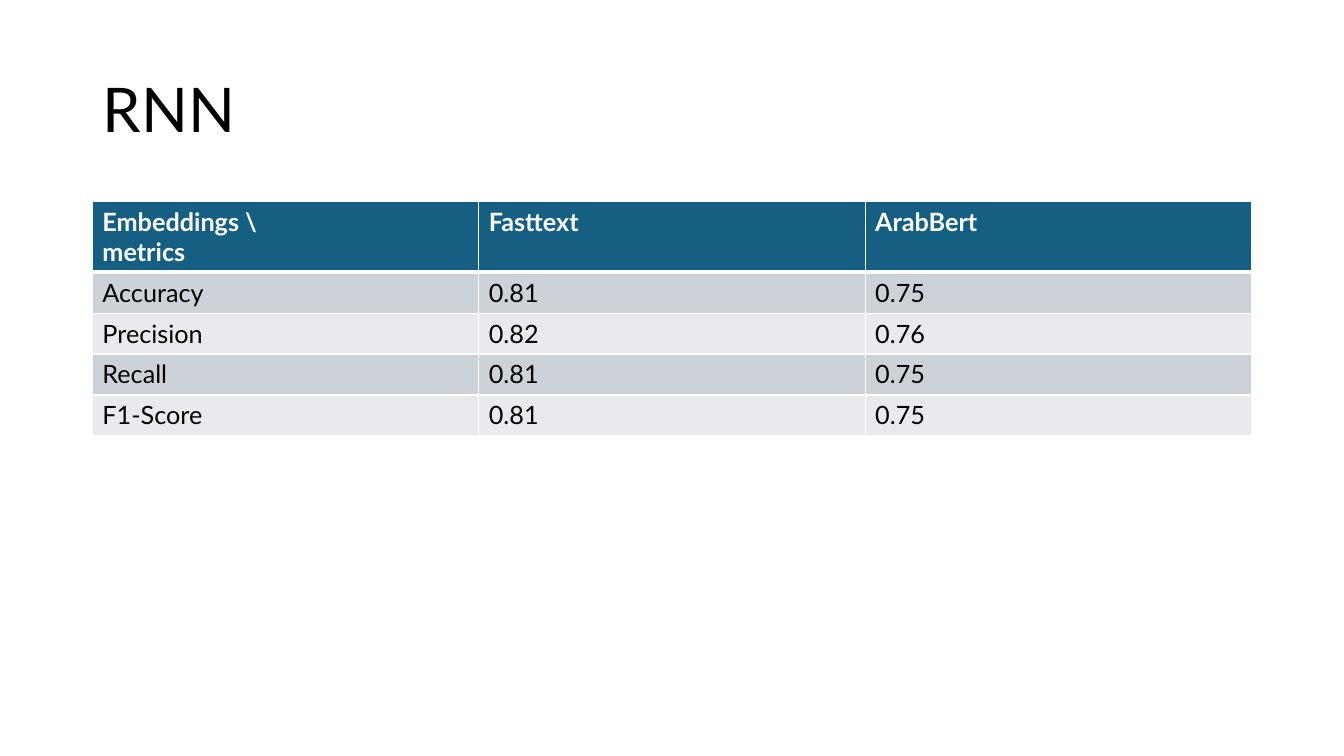
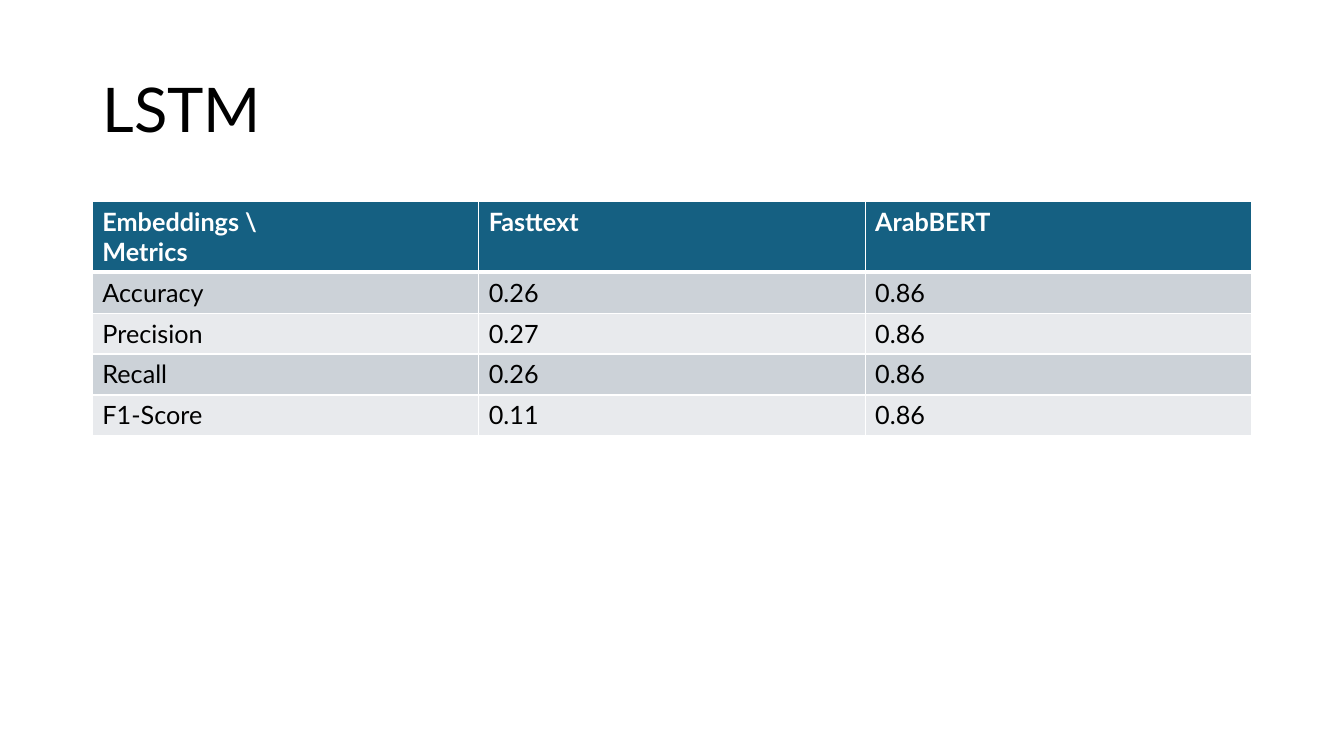
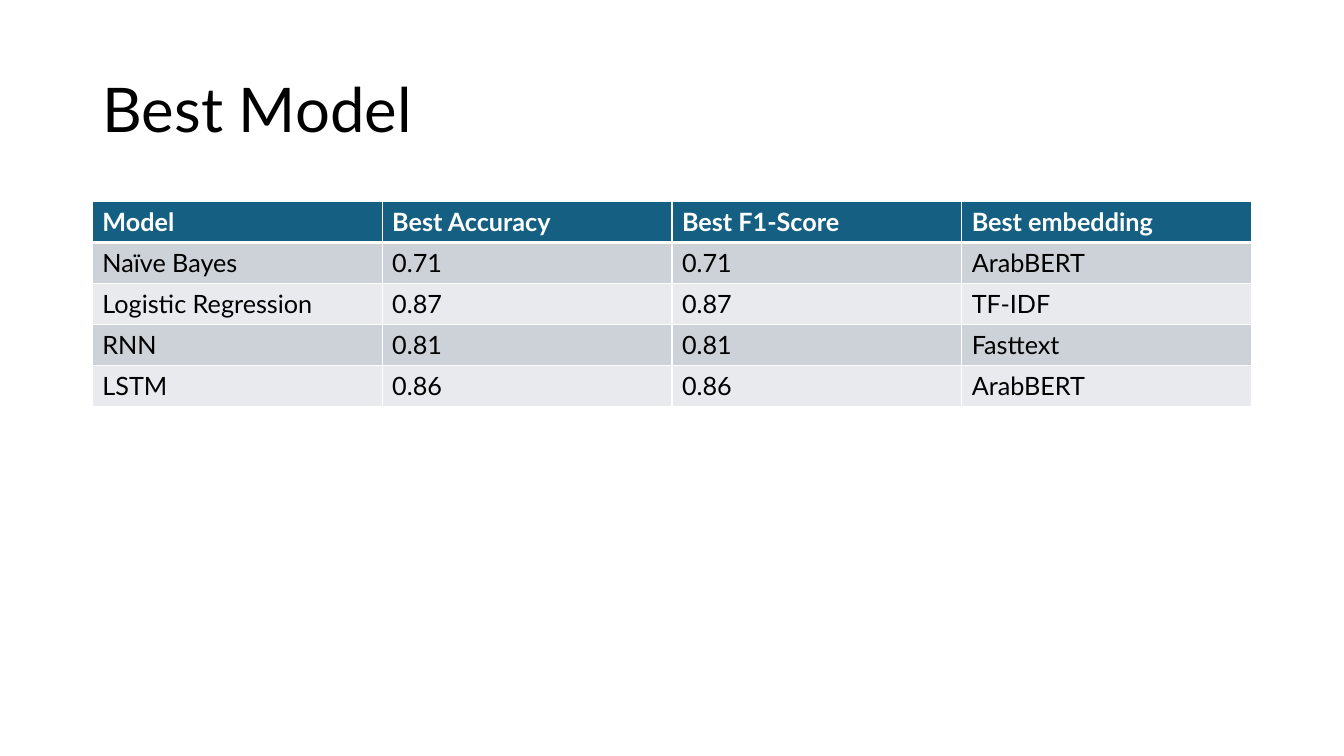
from lxml import etree
from pptx import Presentation
from pptx import util as u
from pptx.dml.color import RGBColor
from pptx.enum import text
from pptx.oxml.ns import qn

PX = 9525  # EMU in one px, 96 px to the inch
FONT = "Lato"
WHITE, BLACK, HEADER = "FFFFFF", "000000", "156082"
BANDS = ["CCD2D8", "E8EAED"]
LEFT, WIDTH = 88, 1104
TABLE_TOP, ROW_HEIGHT, LINE_HEIGHT = 192, 39, 28


def style(paragraph, size, color, bold=False):
    font = paragraph.font
    font.name, font.size, font.bold = FONT, u.Pt(size), bold
    font.color.rgb = RGBColor.from_string(color)


def set_borders(cell, widths):
    """Draw white cell borders; widths are points for left, right, top, bottom."""
    properties = cell._tc.get_or_add_tcPr()
    for index, (side, width) in enumerate(zip("LRTB", widths)):
        line = etree.Element(qn(f"a:ln{side}"), w=str(u.Pt(width)))
        fill = etree.SubElement(line, qn("a:solidFill"))
        etree.SubElement(fill, qn("a:srgbClr"), val=WHITE)
        properties.insert(index, line)


slides = [
    ("RNN", [
        ["Embeddings \\\nmetrics", "Fasttext", "ArabBert"],
        ["Accuracy", "0.81", "0.75"],
        ["Precision", "0.82", "0.76"],
        ["Recall", "0.81", "0.75"],
        ["F1-Score", "0.81", "0.75"],
    ]),
    ("LSTM", [
        ["Embeddings \\\nMetrics", "Fasttext", "ArabBERT"],
        ["Accuracy", "0.26", "0.86"],
        ["Precision", "0.27", "0.86"],
        ["Recall", "0.26", "0.86"],
        ["F1-Score", "0.11", "0.86"],
    ]),
    ("Best Model", [
        ["Model", "Best Accuracy", "Best F1-Score", "Best embedding"],
        ["Naïve Bayes", "0.71", "0.71", "ArabBERT"],
        ["Logistic Regression", "0.87", "0.87", "TF-IDF"],
        ["RNN", "0.81", "0.81", "Fasttext"],
        ["LSTM", "0.86", "0.86", "ArabBERT"],
    ]),
]

presentation = Presentation()
presentation.slide_width, presentation.slide_height = 1280 * PX, 720 * PX
layout = presentation.slide_layouts.get_by_name("Title Only")

for heading, rows in slides:
    slide = presentation.slides.add_slide(layout)

    # Title
    title = slide.shapes.title
    title.left, title.top, title.width, title.height = (
        LEFT * PX, 38 * PX, WIDTH * PX, 139 * PX)
    title.text_frame.text = heading
    title.text_frame.vertical_anchor = text.MSO_ANCHOR.MIDDLE
    paragraph = title.text_frame.paragraphs[0]
    paragraph.alignment = text.PP_ALIGN.LEFT
    paragraph.line_spacing = 0.9
    style(paragraph, 44, BLACK)

    # Table
    extra_lines = max(label.count("\n") for label in rows[0])
    header_height = ROW_HEIGHT + extra_lines * LINE_HEIGHT
    height = header_height + ROW_HEIGHT * (len(rows) - 1)
    table = slide.shapes.add_table(
        len(rows), len(rows[0]),
        LEFT * PX, TABLE_TOP * PX, WIDTH * PX, height * PX).table
    for row_index, row in enumerate(rows):
        is_header = row_index == 0
        table.rows[row_index].height = (header_height if is_header else ROW_HEIGHT) * PX
        for column_index, value in enumerate(row):
            cell = table.cell(row_index, column_index)
            cell.text = value
            cell.fill.solid()
            cell.fill.fore_color.rgb = RGBColor.from_string(
                HEADER if is_header else BANDS[(row_index - 1) % 2])
            set_borders(cell, [1, 1, 3 if row_index == 1 else 1, 3 if is_header else 1])
            for paragraph in cell.text_frame.paragraphs:
                style(paragraph, 18, WHITE if is_header else BLACK, is_header)

presentation.save("out.pptx")
